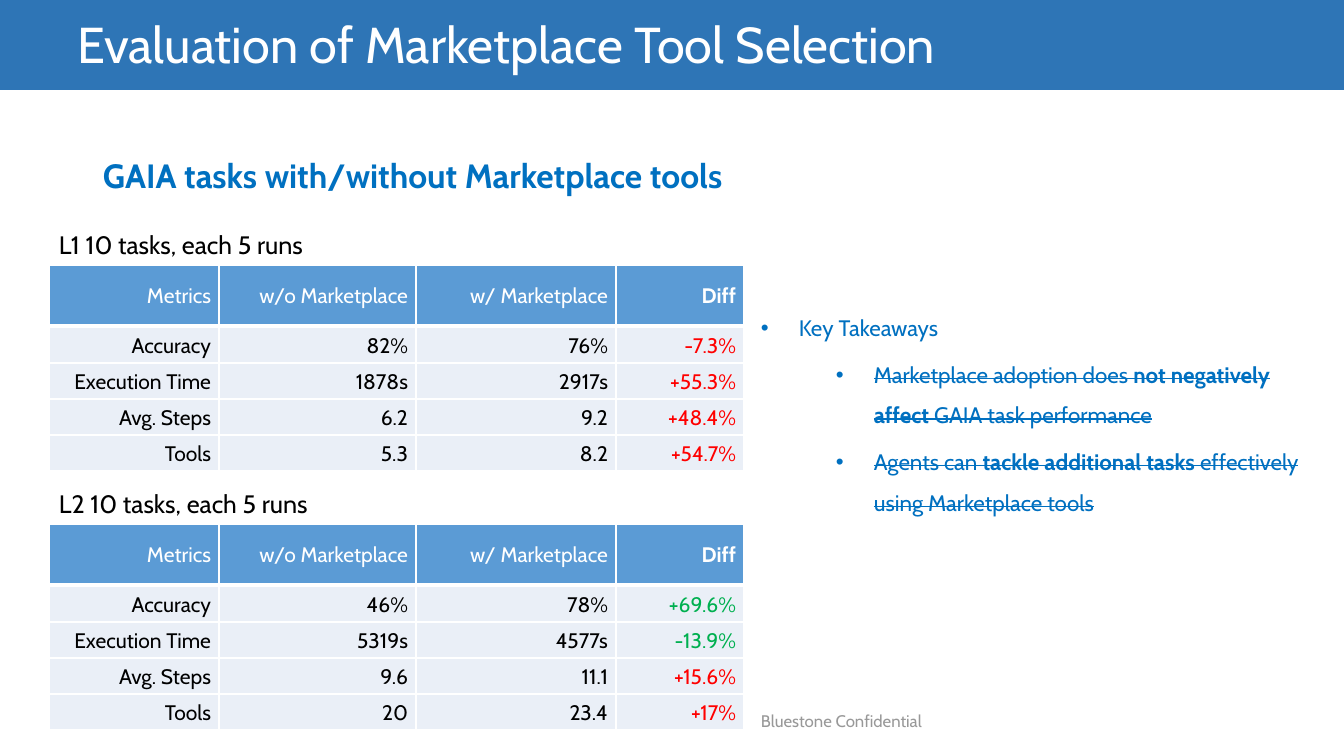
import pptx
import pptx.dml.color
import pptx.enum.shapes
import pptx.enum.text
import pptx.oxml.ns
import pptx.util
from lxml import etree

PX = 9144000 / 1008
FONT = "Cabin"
COLORS = {
    "bar": "2E75B6", "accent": "0070C0", "header": "5B9BD5", "row": "EAEFF7",
    "white": "FFFFFF", "text": "000000", "footer": "989898",
    "worse": "FF0000", "better": "00B050",
}
ALIGN = pptx.enum.text.PP_ALIGN
ANCHOR = pptx.enum.text.MSO_ANCHOR
HEADINGS = ["Metrics", "w/o Marketplace", "w/ Marketplace", "Diff"]
COLUMN_WIDTHS = [170, 197, 200, 128]
ROW_HEIGHTS = [61, 37, 36, 36, 36]
RESULTS = [
    ("L1 10 tasks, each 5 runs", [
        ("Accuracy", "82%", "76%", "-7.3%", "worse"),
        ("Execution Time", "1878s", "2917s", "+55.3%", "worse"),
        ("Avg. Steps", "6.2", "9.2", "+48.4%", "worse"),
        ("Tools", "5.3", "8.2", "+54.7%", "worse"),
    ]),
    ("L2 10 tasks, each 5 runs", [
        ("Accuracy", "46%", "78%", "+69.6%", "better"),
        ("Execution Time", "5319s", "4577s", "-13.9%", "better"),
        ("Avg. Steps", "9.6", "11.1", "+15.6%", "worse"),
        ("Tools", "20", "23.4", "+17%", "worse"),
    ]),
]
TAKEAWAYS = [
    ("Marketplace adoption does ", "not negatively affect ", "GAIA task performance"),
    ("Agents can ", "tackle additional tasks ", "effectively using Marketplace tools"),
]


def px(length):
    """Turn a length in px into EMU."""
    return pptx.util.Emu(round(length * PX))


def rgb(name):
    """Look up a named colour."""
    return pptx.dml.color.RGBColor.from_string(COLORS[name])


def style(para, size, color, bold=False, align=ALIGN.LEFT):
    """Set the font and alignment of a paragraph."""
    para.font.name = FONT
    para.font.size = pptx.util.Pt(size)
    para.font.bold = bold
    para.font.color.rgb = rgb(color)
    para.alignment = align


def add_text(page, box, text, size, color, anchor=ANCHOR.TOP, bold=False):
    """Add a wrapping text box with one paragraph and return its frame."""
    frame = page.shapes.add_textbox(*map(px, box)).text_frame
    frame.word_wrap = True
    frame.vertical_anchor = anchor
    frame.text = text
    style(frame.paragraphs[0], size, color, bold)
    return frame


def add_title(page, box, text):
    """Draw the title bar and set the title on it."""
    left, top, width, height = box
    bar = page.shapes.add_shape(
        pptx.enum.shapes.MSO_SHAPE.RECTANGLE, *map(px, box))
    bar.shadow.inherit = False
    bar.fill.solid()
    bar.fill.fore_color.rgb = rgb("bar")
    bar.line.fill.background()
    title = page.shapes.title
    title._element.addprevious(bar._element)
    title.left, title.top = px(left + 67), px(top)
    title.width, title.height = px(width - 158), px(height - 11)
    frame = title.text_frame
    frame.text = text
    frame.auto_size = pptx.enum.text.MSO_AUTO_SIZE.NONE
    frame.vertical_anchor = ANCHOR.BOTTOM
    style(frame.paragraphs[0], 36, "white")


def add_border(cell, side, width):
    """Draw one white border of a cell."""
    properties = cell._tc.get_or_add_tcPr()
    line = etree.SubElement(properties, pptx.oxml.ns.qn("a:ln" + side),
                            w=str(pptx.util.Pt(width)))
    fill = etree.SubElement(line, pptx.oxml.ns.qn("a:solidFill"))
    etree.SubElement(fill, pptx.oxml.ns.qn("a:srgbClr"), val=COLORS["white"])


def fill_cell(cell, text, color, is_header, is_bold):
    """Write and format one table cell."""
    cell.text = text
    cell.margin_left = cell.margin_right = px(8)
    cell.margin_top = cell.margin_bottom = px(4)
    cell.vertical_anchor = ANCHOR.MIDDLE if is_header else ANCHOR.BOTTOM
    style(cell.text_frame.paragraphs[0], 15, color, is_bold, ALIGN.RIGHT)
    for side in "LRTB":
        add_border(cell, side, 3 if is_header and side == "B" else 1)
    cell.fill.solid()
    cell.fill.fore_color.rgb = rgb("header" if is_header else "row")


def add_results(page, box, label, records):
    """Add a labelled table of results."""
    left, top, width, height = box
    label_height = 41
    add_text(page, (left, top, 404, label_height), label, 18, "text")
    table = page.shapes.add_table(
        len(ROW_HEIGHTS), len(COLUMN_WIDTHS), px(left), px(top + label_height),
        px(width), px(height - label_height)).table
    for column, column_width in zip(table.columns, COLUMN_WIDTHS):
        column.width = px(column_width)
    for row, row_height in zip(table.rows, ROW_HEIGHTS):
        row.height = px(row_height)
    for index, heading in enumerate(HEADINGS):
        fill_cell(table.cell(0, index), heading, "white", True, heading == "Diff")
    for row_index, (*values, trend) in enumerate(records, 1):
        for index, value in enumerate(values):
            color = trend if HEADINGS[index] == "Diff" else "text"
            fill_cell(table.cell(row_index, index), value, color, False, False)


def set_bullet(para, level, margin):
    """Give a takeaway its bullet, indent and spacing."""
    para.level = level
    para.line_spacing = 1.5
    para.space_before = pptx.util.Pt(4.8)
    properties = para._p.get_or_add_pPr()
    properties.set("marL", str(px(margin)))
    properties.set("indent", str(px(-38)))
    etree.SubElement(properties, pptx.oxml.ns.qn("a:buFont"), typeface="Arial")
    etree.SubElement(properties, pptx.oxml.ns.qn("a:buChar"), char="•")


def add_takeaways(page, box):
    """Add the bulleted takeaways with struck-through points."""
    frame = add_text(page, box, "Key Takeaways", 16, "accent")
    set_bullet(frame.paragraphs[0], 0, 38)
    for parts in TAKEAWAYS:
        para = frame.add_paragraph()
        set_bullet(para, 1, 113)
        style(para, 16, "accent")
        for index, part in enumerate(parts):
            span = para.add_run()
            span.text = part
            span.font.bold = index == 1
            span._r.get_or_add_rPr().set("strike", "sngStrike")


def main():
    """Build the slide and save the deck."""
    deck = pptx.Presentation()
    deck.slide_width, deck.slide_height = px(1344), px(756)
    page = deck.slides.add_slide(deck.slide_layouts.get_by_name("Title Only"))
    add_title(page, (0, 0, 1344, 90), "Evaluation of Marketplace Tool Selection")
    heading = add_text(page, (93, 130, 781, 71),
                       "GAIA tasks with/without Marketplace tools",
                       24, "accent", ANCHOR.BOTTOM, True)
    heading.paragraphs[0].line_spacing = 0.9
    add_takeaways(page, (751, 296, 569, 372))
    add_text(page, (751, 701, 320, 40), "Bluestone Confidential", 12, "footer",
             ANCHOR.MIDDLE)
    for index, (label, records) in enumerate(RESULTS):
        add_results(page, (49, 224 + 259 * index, sum(COLUMN_WIDTHS),
                           41 + sum(ROW_HEIGHTS)), label, records)
    deck.save("out.pptx")


if __name__ == "__main__":
    main()
